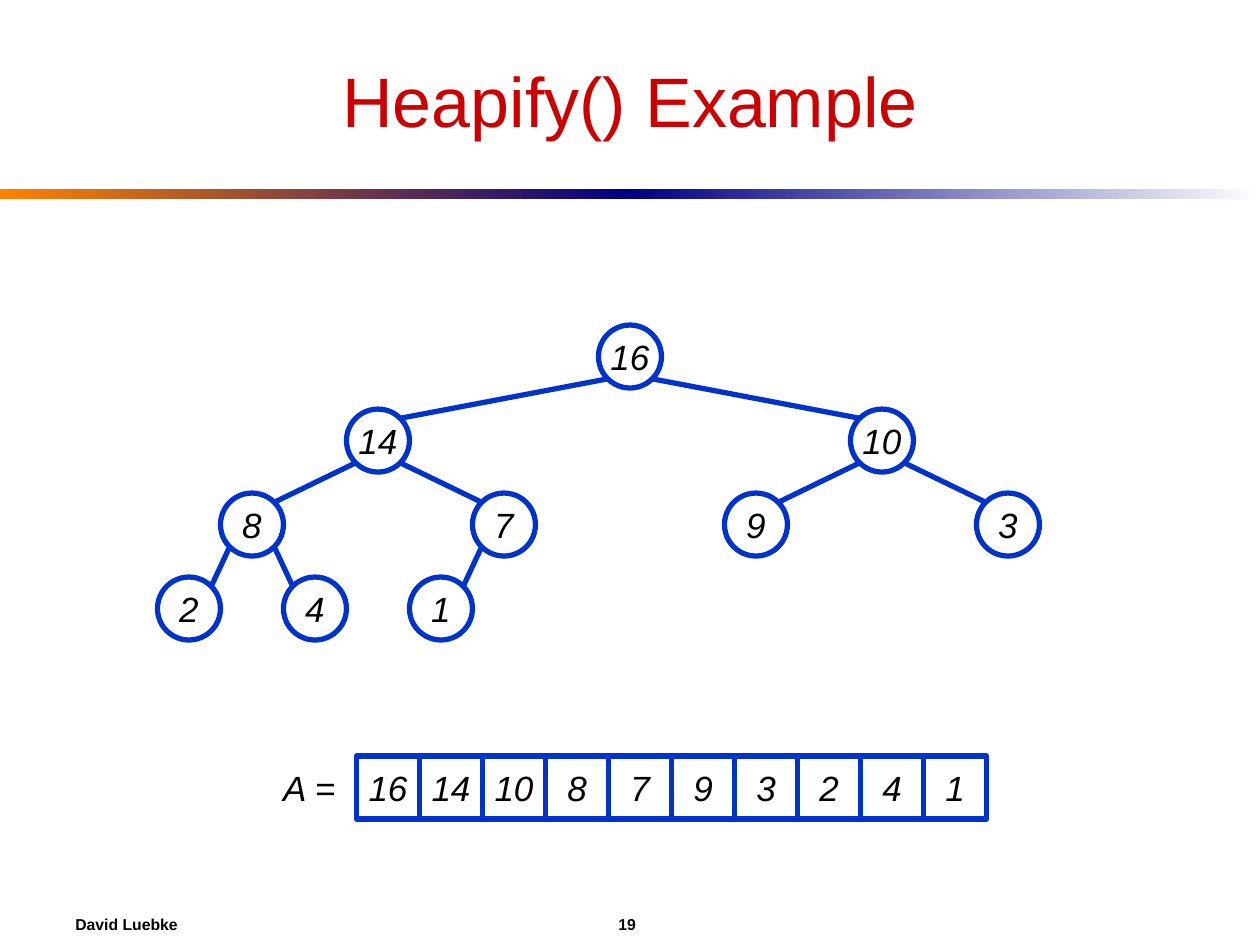
from math import sqrt

from lxml.etree import SubElement
from pptx import Presentation
from pptx.dml.color import RGBColor
from pptx.enum.shapes import MSO_CONNECTOR as Link, MSO_SHAPE as Kind
from pptx.enum.text import MSO_ANCHOR as Anchor, PP_ALIGN as Align
from pptx.oxml.ns import qn
from pptx.util import Inches, Pt

WIDE, HIGH = 10, 7.5
SIZE = 0.5
TOP, DROP = 2.83, 2 / 3
EDGE, SPAN = 1, 8
ROW_X, ROW_Y = 2.83, 6
BLUE, BLACK, WHITE = "0033CC", "000000", "FFFFFF"
HEAP = [16, 14, 10, 8, 7, 9, 3, 2, 4, 1]


def rgb(code):
    """Turn a hex string into a colour."""
    return RGBColor.from_string(code)


def box(*lens):
    """Turn lengths in inches into slide units."""
    return [Inches(n) for n in lens]


def write(shape, text, size, color=BLACK, align=Align.CENTER, wrap=False, bold=False, italic=False):
    """Set and format the text of a shape."""
    frame = shape.text_frame
    frame.text = text
    frame.word_wrap = wrap
    frame.vertical_anchor = Anchor.MIDDLE
    para = frame.paragraphs[0]
    para.alignment = align
    for run in para.runs:
        font = run.font
        font.name, font.size = "Arial", Pt(size)
        font.bold, font.italic = bold, italic
        font.color.rgb = rgb(color)


def add_title(slide, text):
    """Place and fill the title."""
    title = slide.shapes.title
    title.left, title.top, title.width, title.height = box(0.5, 0.25, 0.9 * WIDE, 1.08)
    write(title, text, 40, "CC0000", wrap=True)


def add_band(slide, col, start, end):
    """Draw one half of the gradient rule."""
    half = WIDE / 2
    band = slide.shapes.add_shape(Kind.RECTANGLE, *box(col * half, 1.5, half, 0.08))
    band.shadow.inherit = False
    band.line.fill.background()
    band.fill.gradient()
    band.fill.gradient_angle = 0
    for stop, code in zip(band.fill.gradient_stops, (start, end)):
        stop.color.rgb = rgb(code)


def add_foot(slide, name, page):
    """Write the author and the page number, centred on a tab stop."""
    foot = slide.shapes.add_textbox(*box(0.5, HIGH - 0.33, 0.9 * WIDE, 0.33))
    write(foot, f"{name}\t{page}", 9, align=Align.LEFT, wrap=True, bold=True)
    props = foot.text_frame.paragraphs[0]._p.get_or_add_pPr()
    tabs = SubElement(props, qn("a:tabLst"))
    SubElement(tabs, qn("a:tab"), pos=str(Inches(4.38)), algn="ctr")


def add_cell(slide, kind, left, top, value):
    """Draw an outlined shape that holds one value."""
    cell = slide.shapes.add_shape(kind, *box(left, top, SIZE, SIZE))
    cell.shadow.inherit = False
    cell.fill.solid()
    cell.fill.fore_color.rgb = rgb(WHITE)
    cell.line.color.rgb = rgb(BLUE)
    cell.line.width = Pt(3)
    write(cell, str(value), 20, italic=True)


def centre(i):
    """Give the centre of the heap node with index i, counted from 1."""
    level = i.bit_length() - 1
    step = SPAN / 2 ** level
    return EDGE + step * (i - 2 ** level + 0.5), TOP + level * DROP


def add_edge(slide, i):
    """Join node i to its parent between their diagonal points."""
    (px, py), (cx, cy) = centre(i // 2), centre(i)
    reach = SIZE / 2 / sqrt(2)
    side = reach if cx > px else -reach
    ends = box(px + side, py + reach, cx - side, cy - reach)
    edge = slide.shapes.add_connector(Link.STRAIGHT, *ends)
    edge.line.color.rgb = rgb(BLUE)
    edge.line.width = Pt(3)
    SubElement(edge._element.spPr, qn("a:effectLst"))


def add_tree(slide):
    """Draw the heap as a binary tree."""
    for i, value in enumerate(HEAP, 1):
        x, y = centre(i)
        add_cell(slide, Kind.OVAL, x - SIZE / 2, y - SIZE / 2, value)
    for i in range(2, len(HEAP) + 1):
        add_edge(slide, i)


def add_row(slide):
    """Draw the heap as an array with its label."""
    for i, value in enumerate(HEAP):
        add_cell(slide, Kind.RECTANGLE, ROW_X + i * SIZE, ROW_Y, value)
    label = slide.shapes.add_textbox(*box(ROW_X - 0.75, ROW_Y, 0.75, SIZE))
    write(label, "A =", 20, italic=True)


def main():
    """Build and save the slide."""
    deck = Presentation()
    deck.slide_width, deck.slide_height = box(WIDE, HIGH)
    slide = deck.slides.add_slide(deck.slide_layouts[5])
    add_band(slide, 0, "FF8200", "000082")
    add_band(slide, 1, "000082", WHITE)
    add_foot(slide, "David Luebke", 19)
    add_title(slide, "Heapify() Example")
    add_tree(slide)
    add_row(slide)
    deck.save("out.pptx")


if __name__ == "__main__":
    main()
